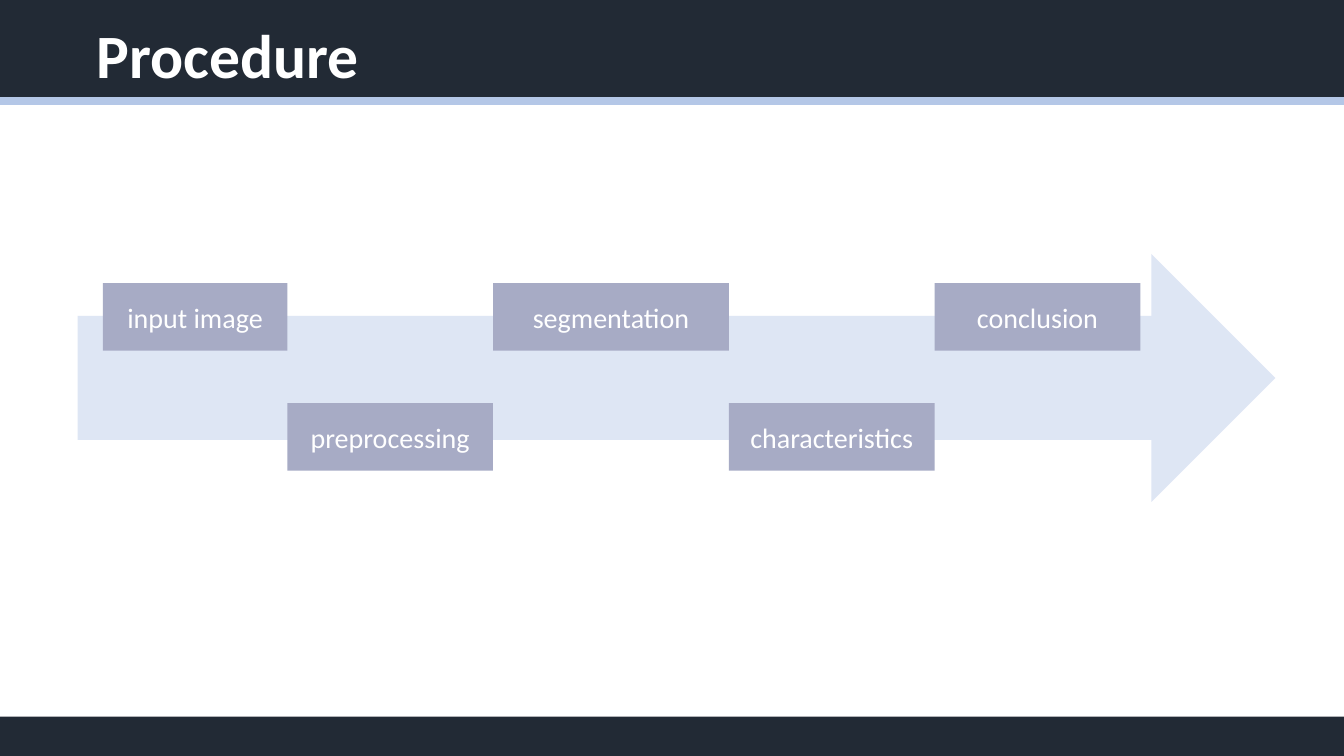
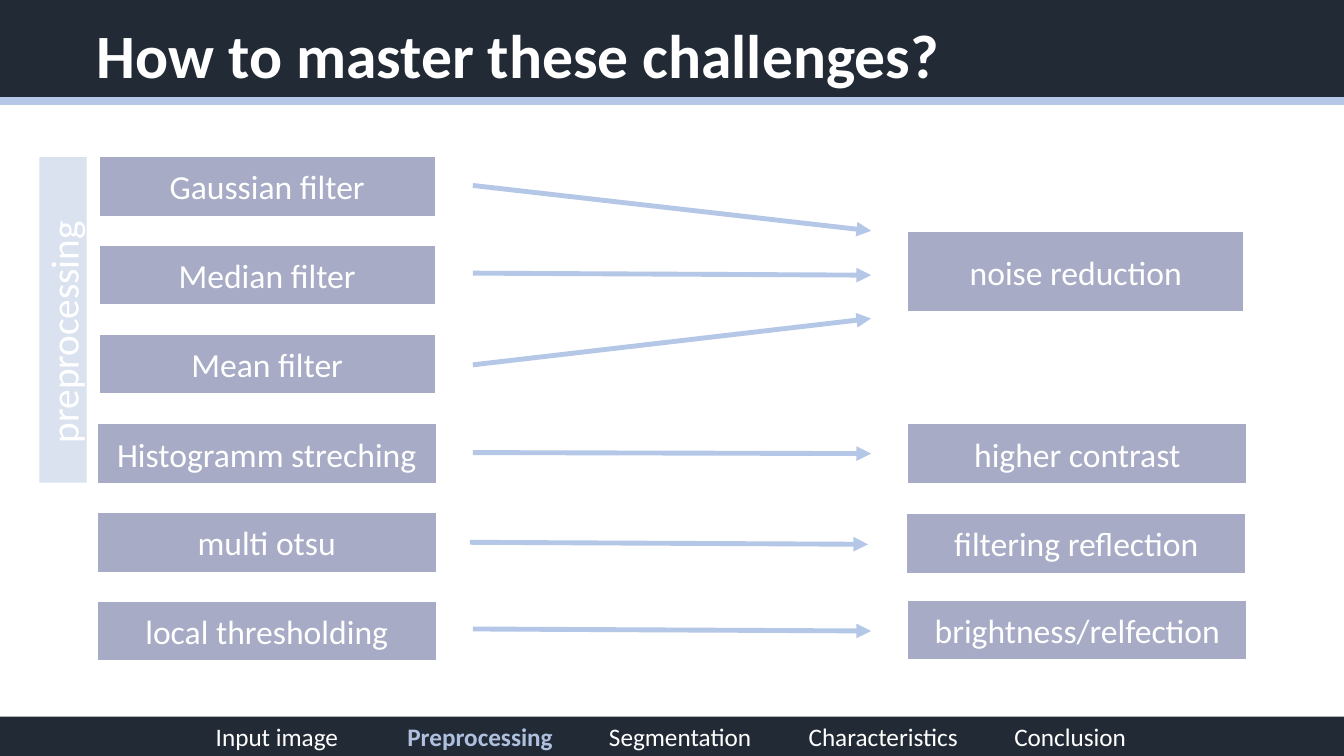
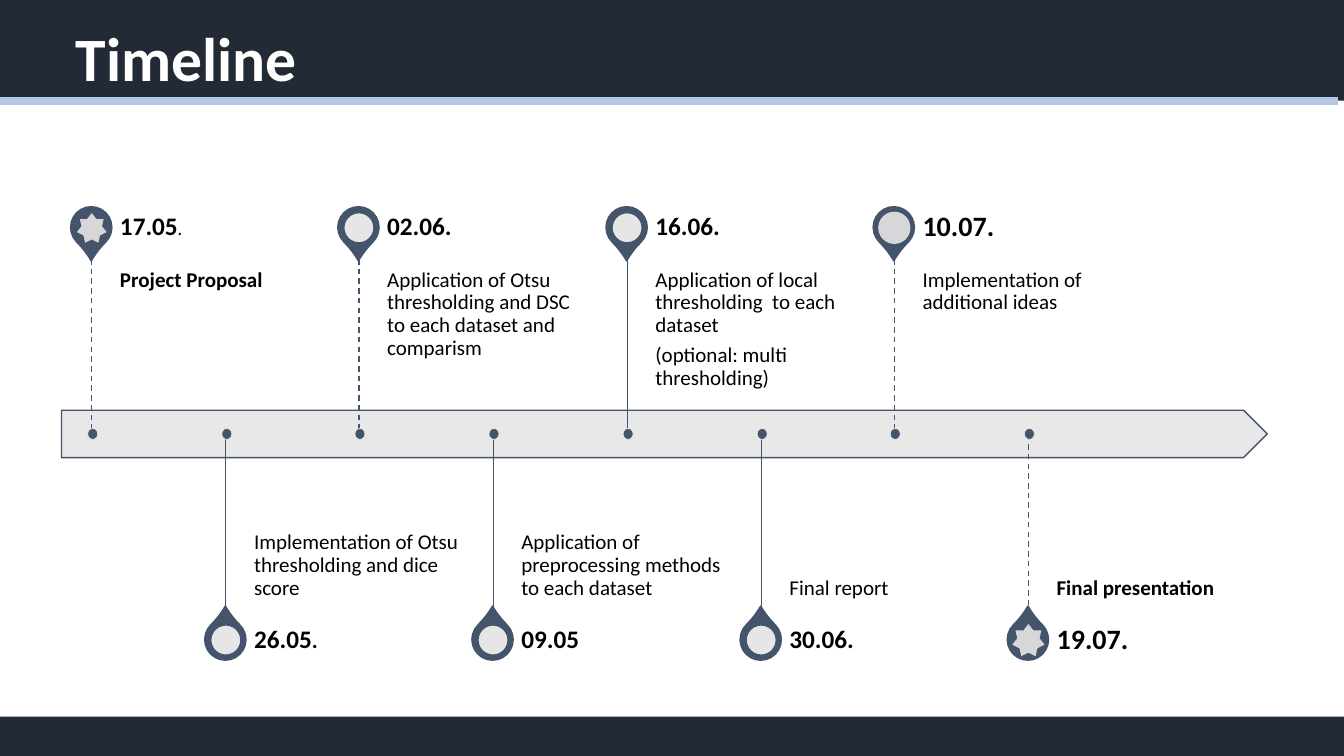
from dataclasses import dataclass
from itertools import accumulate

from lxml import etree
from pptx import Presentation
from pptx import util as u
from pptx.dml.color import RGBColor
from pptx.enum import dml, shapes, text
from pptx.oxml.ns import qn

SHAPE = shapes.MSO_SHAPE
ALIGN = text.PP_ALIGN
ANCHOR = text.MSO_ANCHOR


@dataclass(frozen=True)
class Theme:
    font: str = "Calibri"
    dark: str = "222A35"
    rule: str = "B4C7E7"
    arrow: str = "B5C7E7"
    box: str = "A7ABC5"
    accent: str = "AFC0DF"
    slate: str = "44546A"
    grey: str = "E7E6E6"
    white: str = "FFFFFF"
    black: str = "000000"
    title: int = 44
    side: int = 28
    node: int = 24
    step: int = 20
    footer: int = 18
    body: int = 15


T = Theme()
WIDTH, HEIGHT = 1333, 750


@dataclass(frozen=True)
class Box:
    x: int
    y: int
    w: int
    h: int


@dataclass(frozen=True)
class Run:
    text: str
    size: int | None = None
    color: str | None = None
    bold: bool | None = None


@dataclass(frozen=True)
class Step:
    label: str
    width: int


@dataclass(frozen=True)
class Node:
    label: str
    box: Box


@dataclass(frozen=True)
class Arrow:
    x: int
    y1: int
    y2: int


@dataclass(frozen=True)
class Milestone:
    date: tuple[Run, ...]
    body: tuple[str, ...]
    dashed: bool = False
    bold: bool = False
    star: bool = False
    edged: bool = True


STEPS = (
    Step("input image", 183),
    Step("preprocessing", 204),
    Step("segmentation", 234),
    Step("characteristics", 204),
    Step("conclusion", 204),
)

METHODS = ("Gaussian filter", "Median filter", "Mean filter",
           "Histogramm streching", "multi otsu", "local thresholding")

EFFECTS = (
    Node("noise reduction", Box(901, 230, 332, 79)),
    Node("higher contrast", Box(901, 421, 335, 58)),
    Node("filtering reflection", Box(900, 510, 335, 58)),
    Node("brightness/relfection", Box(901, 596, 335, 58)),
)

ARROWS = (
    Arrow(469, 184, 229), Arrow(469, 271, 273), Arrow(469, 362, 316),
    Arrow(469, 449, 450), Arrow(466, 538, 540), Arrow(469, 624, 626),
)

CHAPTERS = ("Input image", "Preprocessing", "Segmentation",
            "Characteristics", "Conclusion")
CHAPTER_LEFTS = (214, 404, 604, 802, 1006)

MILESTONES = (
    Milestone((Run("17.05"), Run(".", 11)), ("Project Proposal",),
              dashed=True, bold=True, star=True),
    Milestone((Run("26.05"), Run(".", 16)),
              ("Implementation of Otsu thresholding and dice score",)),
    Milestone((Run("02.06."),),
              ("Application of Otsu thresholding and DSC to each dataset and comparism",),
              dashed=True),
    Milestone((Run("09.05"),),
              ("Application of preprocessing methods to each dataset",)),
    Milestone((Run("16.06."),),
              ("Application of local thresholding  to each dataset",
               "(optional: multi thresholding)")),
    Milestone((Run("30.06."),), ("Final report",)),
    Milestone((Run("10.07.", 20),), ("Implementation of additional ideas",),
              dashed=True, edged=False),
    Milestone((Run("19.07.", 20),), ("Final presentation",),
              dashed=True, bold=True, star=True, edged=False),
)


def px(n: int) -> u.Emu:
    return u.Emu(n * 9144)


def rgb(color: str) -> RGBColor:
    return RGBColor.from_string(color)


def place(box: Box) -> tuple[u.Emu, ...]:
    return px(box.x), px(box.y), px(box.w), px(box.h)


def add_shape(s, kind, box: Box, fill: str, alpha: int = 100,
              line: str | None = None, width: float = 1, rotation: int = 0):
    sp = s.shapes.add_shape(kind, *place(box))
    sp.shadow.inherit = False
    sp.rotation = rotation
    sp.fill.solid()
    sp.fill.fore_color.rgb = rgb(fill)
    if alpha < 100:
        clr = sp.element.spPr.find(qn("a:solidFill"))[0]
        etree.SubElement(clr, qn("a:alpha"), val=str(alpha * 1000))
    if line:
        sp.line.color.rgb = rgb(line)
        sp.line.width = u.Pt(width)
    else:
        sp.line.fill.background()
    return sp


def add_line(s, start: tuple[int, int], end: tuple[int, int], color: str,
             width: float, dashed: bool = False, head: bool = False) -> None:
    cx = s.shapes.add_connector(shapes.MSO_CONNECTOR.STRAIGHT,
                                *(px(n) for n in start + end))
    cx.line.color.rgb = rgb(color)
    cx.line.width = u.Pt(width)
    if dashed:
        cx.line.dash_style = dml.MSO_LINE.DASH
    if head:
        etree.SubElement(cx.line._get_or_add_ln(), qn("a:tailEnd"), type="triangle")
    etree.SubElement(cx.element.spPr, qn("a:effectLst"))


def setup_frame(sp, anchor, insets: tuple[int, int, int, int]):
    tf = sp.text_frame
    tf.word_wrap = True
    tf.auto_size = text.MSO_AUTO_SIZE.NONE
    tf.vertical_anchor = anchor
    (tf.margin_left, tf.margin_top,
     tf.margin_right, tf.margin_bottom) = map(px, insets)
    return tf


def write(p, runs: tuple[Run, ...], size: int, color: str, bold: bool = False,
          align=ALIGN.LEFT, spacing: float | None = None, after: int = 0) -> None:
    p.alignment = align
    if spacing:
        p.line_spacing = spacing
    if after:
        p.space_after = u.Pt(after)
    p.font.name = T.font
    p.font.size = u.Pt(size)
    p.font.bold = bold
    p.font.color.rgb = rgb(color)
    for item in runs:
        r = p.add_run()
        r.text = item.text
        if item.size:
            r.font.size = u.Pt(item.size)
        if item.bold is not None:
            r.font.bold = item.bold
        if item.color:
            r.font.color.rgb = rgb(item.color)


def add_label(s, kind, box: Box, label: str, size: int) -> None:
    sp = add_shape(s, kind, box, T.box)
    tf = setup_frame(sp, ANCHOR.MIDDLE, (10, 5, 10, 5))
    write(tf.paragraphs[0], (Run(label),), size, T.white, align=ALIGN.CENTER)


def add_note(s, box: Box, paragraphs: tuple[tuple[Run, ...], ...], size: int,
             bold: bool, anchor, insets: tuple[int, int, int, int]) -> None:
    tf = setup_frame(s.shapes.add_textbox(*place(box)), anchor, insets)
    for i, runs in enumerate(paragraphs):
        p = tf.add_paragraph() if i else tf.paragraphs[0]
        write(p, runs, size, T.black, bold, spacing=0.9, after=5)


def add_page(prs, title: str, left: int = 86, top: int = -14, rule_left: int = 0):
    s = prs.slides.add_slide(prs.slide_layouts[5])
    add_shape(s, SHAPE.RECTANGLE, Box(0, -6, WIDTH, 106), T.dark)
    band = add_shape(s, SHAPE.RECTANGLE, Box(0, 711, WIDTH, 39), T.dark)
    sp = s.shapes.title
    sp.left, sp.top, sp.width, sp.height = place(Box(left, top, 1150, 145))
    tf = setup_frame(sp, ANCHOR.MIDDLE, (10, 5, 10, 5))
    write(tf.paragraphs[0], (Run(title),), T.title, T.white, True, spacing=0.9)
    band.element.addnext(sp.element)
    add_line(s, (rule_left, 100), (rule_left + 1335, 100), T.rule, 6)
    return s, band


def add_chapters(band, current: str) -> None:
    first = CHAPTER_LEFTS[0]
    tf = setup_frame(band, ANCHOR.MIDDLE, (first, 0, 0, 0))
    p = tf.paragraphs[0]
    tabs = etree.SubElement(p._p.get_or_add_pPr(), qn("a:tabLst"))
    for left in CHAPTER_LEFTS[1:]:
        etree.SubElement(tabs, qn("a:tab"), pos=str(px(left - first)), algn="l")
    runs = tuple(
        Run(("\t" if i else "") + name,
            color=T.accent if name == current else None,
            bold=True if name == current else None)
        for i, name in enumerate(CHAPTERS))
    write(p, runs, T.footer, T.white)


def add_procedure(prs) -> None:
    s, _ = add_page(prs, "Procedure")
    add_shape(s, SHAPE.RIGHT_ARROW, Box(77, 252, 1188, 246), T.rule, alpha=44)
    lefts = accumulate((step.width for step in STEPS), initial=102)
    for i, (step, left) in enumerate(zip(STEPS, lefts)):
        box = Box(left, 400 if i % 2 else 281, step.width, 67)
        add_label(s, SHAPE.RECTANGLE, box, step.label, T.step)


def add_challenges(prs) -> None:
    s, band = add_page(prs, "How to master these challenges?")
    add_chapters(band, "Preprocessing")
    methods = tuple(
        Node(name, Box(99 if i < 3 else 97, 156 + round(i * 88.2),
                       332 if i < 3 else 335, 58))
        for i, name in enumerate(METHODS))
    for node in methods + EFFECTS:
        add_label(s, SHAPE.FLOWCHART_PROCESS, node.box, node.label, T.node)
    for arrow in ARROWS:
        add_line(s, (arrow.x, arrow.y1), (arrow.x + 395, arrow.y2),
                 T.arrow, 3.5, head=True)
    add_shape(s, SHAPE.RECTANGLE, Box(39, 156, 47, 323), T.accent, alpha=46)
    sp = s.shapes.add_textbox(*place(Box(39, 168, 47, 323)))
    tf = setup_frame(sp, ANCHOR.MIDDLE, (0, 0, 0, 0))
    tf._txBody.bodyPr.set("vert", "vert270")
    write(tf.paragraphs[0], (Run("preprocessing"),), T.side, T.white,
          align=ALIGN.CENTER)


def add_milestone(s, item: Milestone, offset: int, above: bool) -> None:
    x = 91 + offset
    middle = 226 if above else 635
    pin = add_shape(s, SHAPE.TEAR, Box(x - 21, middle - 21, 41, 41), T.slate,
                    line=T.slate, rotation=135 if above else 315)
    pin.adjustments[0] = 1.15

    plain = not item.star and item.edged
    size = 30 if plain else 32
    add_shape(s, SHAPE.STAR_7_POINT if item.star else SHAPE.OVAL,
              Box(x - size // 2, middle - size // 2, size, size), T.grey,
              alpha=100 if plain else 90, line=T.slate if item.edged else None)

    left = 119 + offset
    add_note(s, Box(left, 257 if above else 431, 209, 174),
             tuple((Run(line),) for line in item.body), T.body, item.bold,
             ANCHOR.TOP if above else ANCHOR.BOTTOM,
             (0, 10, 10, 16) if above else (0, 16, 0, 10))
    add_note(s, Box(left, 195 if above else 605, 209, 61), (item.date,),
             T.footer, True, ANCHOR.MIDDLE, (0, 0, 12, 0))

    add_line(s, (x, 257 if above else 431), (x, 431 if above else 605),
             T.slate, 1 if item.dashed else 0.5, dashed=item.dashed)
    add_shape(s, SHAPE.OVAL, Box(x - 4, 425, 10, 11), T.slate,
              line=T.grey, width=0.5)


def add_timeline(prs) -> None:
    s, _ = add_page(prs, "Timeline", left=65, top=-11, rule_left=-8)
    add_shape(s, SHAPE.PENTAGON, Box(61, 407, 1196, 47), T.grey, alpha=90,
              line=T.slate)
    for i, item in enumerate(MILESTONES):
        add_milestone(s, item, round(i * 132.7), above=i % 2 == 0)


def main() -> None:
    prs = Presentation()
    prs.slide_width, prs.slide_height = px(WIDTH), px(HEIGHT)
    add_procedure(prs)
    add_challenges(prs)
    add_timeline(prs)
    prs.save("out.pptx")


if __name__ == "__main__":
    main()
